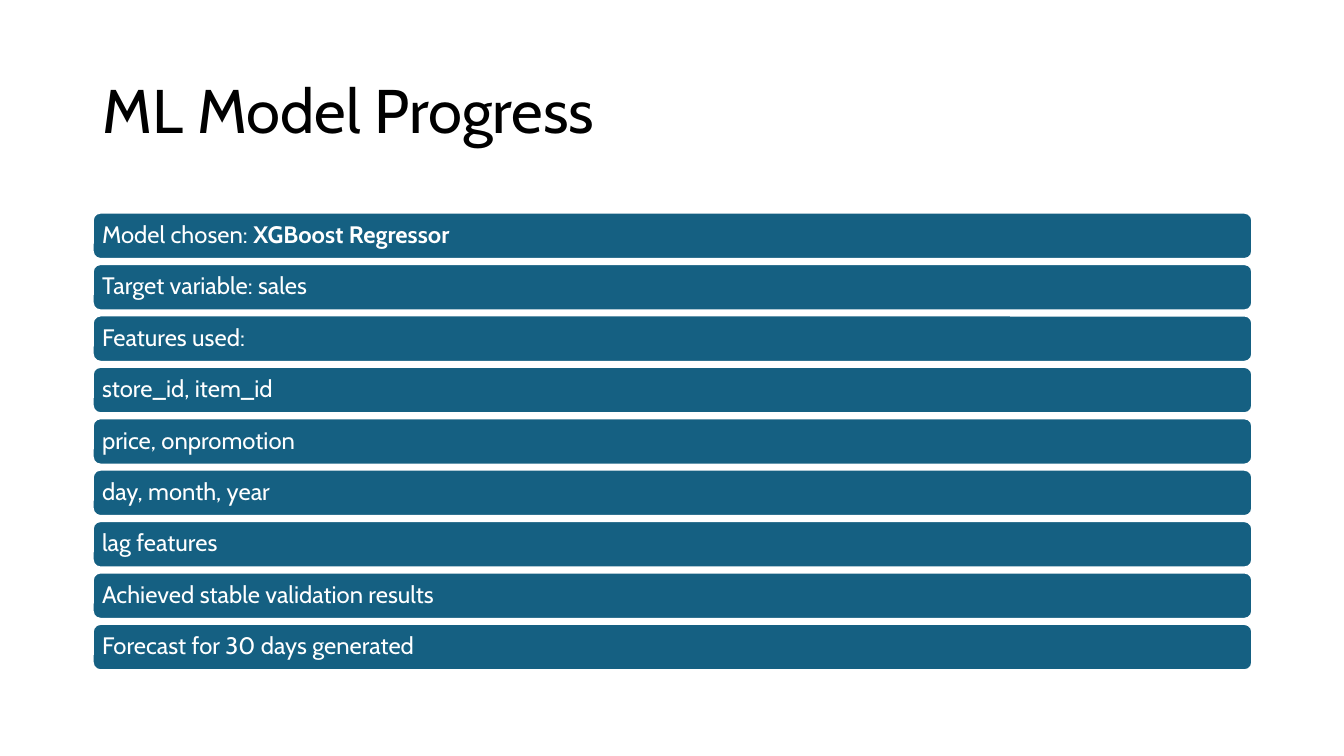
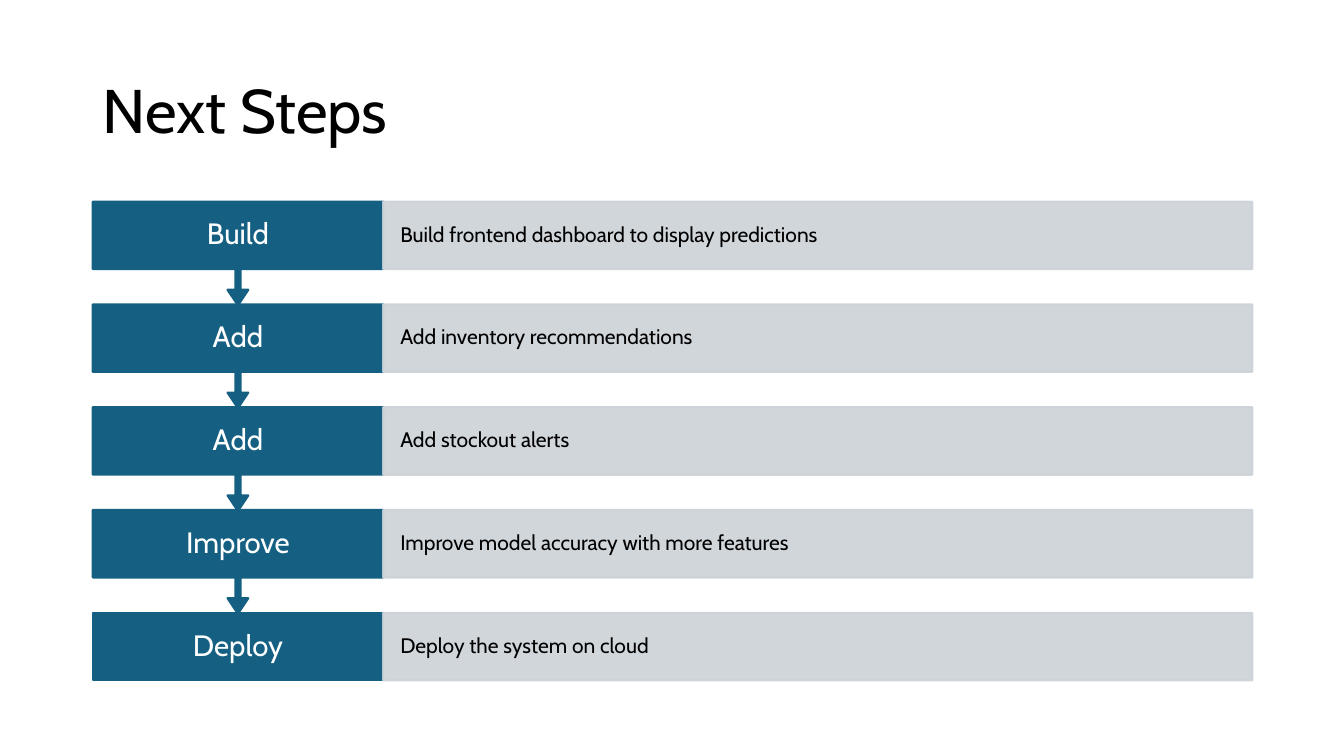
from lxml.etree import SubElement
from pptx import Presentation
from pptx.dml.color import RGBColor
from pptx.enum.shapes import MSO_SHAPE as Shape
from pptx.enum.text import MSO_ANCHOR as Anchor, PP_ALIGN as Align
from pptx.oxml.ns import qn
from pptx.util import Pt

SCALE = 9144
FONT = "Cabin"
BLUE, GREY, WHITE, BLACK = "156082", "CCD2D8", "FFFFFF", "000000"
LEFT, WIDTH = 92, 1150
BAR_TOP, BAR_H, BAR_STEP = 211, 46, 51
ROW_TOP, ROW_H, ROW_STEP = 200, 67, 102
CALL_H, STEP_W = 103, 288

FACTS = [
    [("Model chosen: ", False), ("XGBoost Regressor", True)],
    [("Target variable: sales", False)],
    [("Features used:", False)],
    [("store_id, item_id", False)],
    [("price, onpromotion", False)],
    [("day, month, year", False)],
    [("lag features", False)],
    [("Achieved stable validation results", False)],
    [("Forecast for 30 days generated", False)],
]
STEPS = [
    ("Build", "Build frontend dashboard to display predictions"),
    ("Add", "Add inventory recommendations"),
    ("Add", "Add stockout alerts"),
    ("Improve", "Improve model accuracy with more features"),
    ("Deploy", "Deploy the system on cloud"),
]


def px(n):
    return int(n * SCALE)


def rgb(code):
    return RGBColor.from_string(code)


def write(shape, runs, size, color, align=Align.LEFT):
    frame = shape.text_frame
    frame.word_wrap = True
    frame.vertical_anchor = Anchor.MIDDLE
    para = frame.paragraphs[0]
    para.alignment = align
    para.line_spacing = 0.9
    font = para.font
    font.name, font.size = FONT, Pt(size)
    font.color.rgb = rgb(color)
    for text, bold in runs:
        run = para.add_run()
        run.text = text
        if bold:
            run.font.bold = True


def inset(shape, side, top):
    frame = shape.text_frame
    frame.margin_left = frame.margin_right = px(side)
    frame.margin_top = frame.margin_bottom = px(top)


def box(slide, kind, at, fill, line):
    shape = slide.shapes.add_shape(kind, *map(px, at))
    shape.shadow.inherit = False
    shape.fill.solid()
    shape.fill.fore_color.rgb = rgb(fill)
    shape.line.color.rgb = rgb(line)
    shape.line.width = Pt(1.5)
    return shape


def fade(shape, share):
    for color in shape.element.spPr.iter(qn("a:srgbClr")):
        SubElement(color, qn("a:alpha")).set("val", str(share * 1000))


def page(deck, text):
    slide = deck.slides.add_slide(deck.slide_layouts[5])
    title = slide.shapes.title
    title.left, title.top = px(LEFT), px(40)
    title.width, title.height = px(WIDTH), px(145)
    write(title, [(text, False)], 44, BLACK)
    return slide


def bar(slide, row, runs):
    at = LEFT, BAR_TOP + row * BAR_STEP, WIDTH, BAR_H
    shape = box(slide, Shape.ROUNDED_RECTANGLE, at, BLUE, WHITE)
    inset(shape, 7, 7)
    write(shape, runs, 17, WHITE)


def step(slide, row, name, note):
    top = ROW_TOP + row * ROW_STEP
    if row < len(STEPS) - 1:
        at = LEFT, top, STEP_W, CALL_H
        head = box(slide, Shape.DOWN_ARROW_CALLOUT, at, BLUE, BLUE)
        for i, value in enumerate((0.05, 0.1, 0.15, 0.65)):
            head.adjustments[i] = value
    else:
        head = box(slide, Shape.RECTANGLE, (LEFT, top, STEP_W, ROW_H), BLUE, BLUE)
    inset(head, 20, 16)
    write(head, [(name, False)], 21, WHITE, Align.CENTER)

    at = LEFT + STEP_W, top, WIDTH - STEP_W, ROW_H
    body = box(slide, Shape.RECTANGLE, at, GREY, GREY)
    fade(body, 90)
    inset(body, 17, 21)
    write(body, [(note, False)], 15, BLACK)


def main():
    deck = Presentation()
    deck.slide_width, deck.slide_height = px(1333), px(750)

    slide = page(deck, "ML Model Progress")
    for row, runs in enumerate(FACTS):
        bar(slide, row, runs)

    slide = page(deck, "Next Steps")
    for row, (name, note) in enumerate(STEPS):
        step(slide, row, name, note)

    deck.save("out.pptx")


if __name__ == "__main__":
    main()
